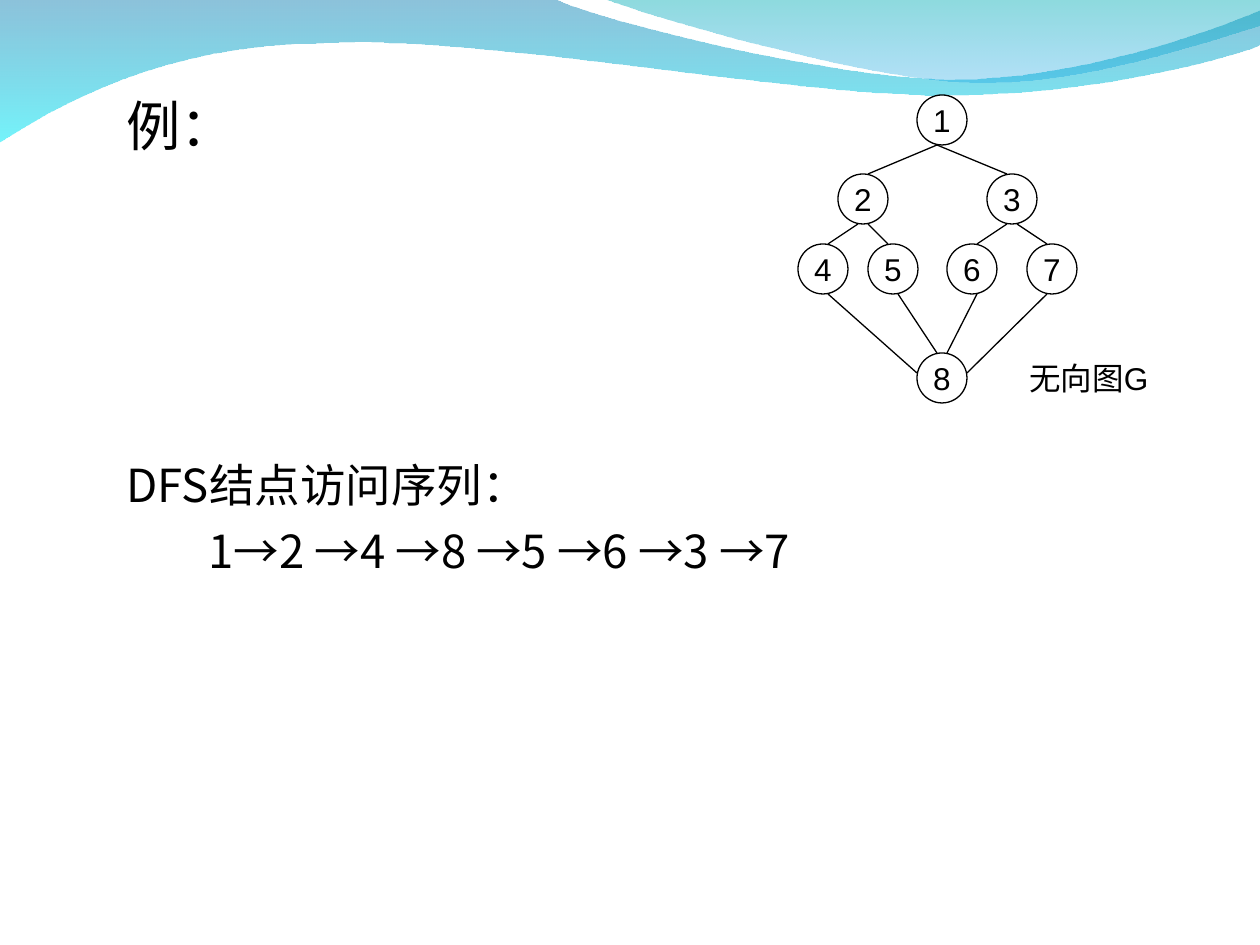
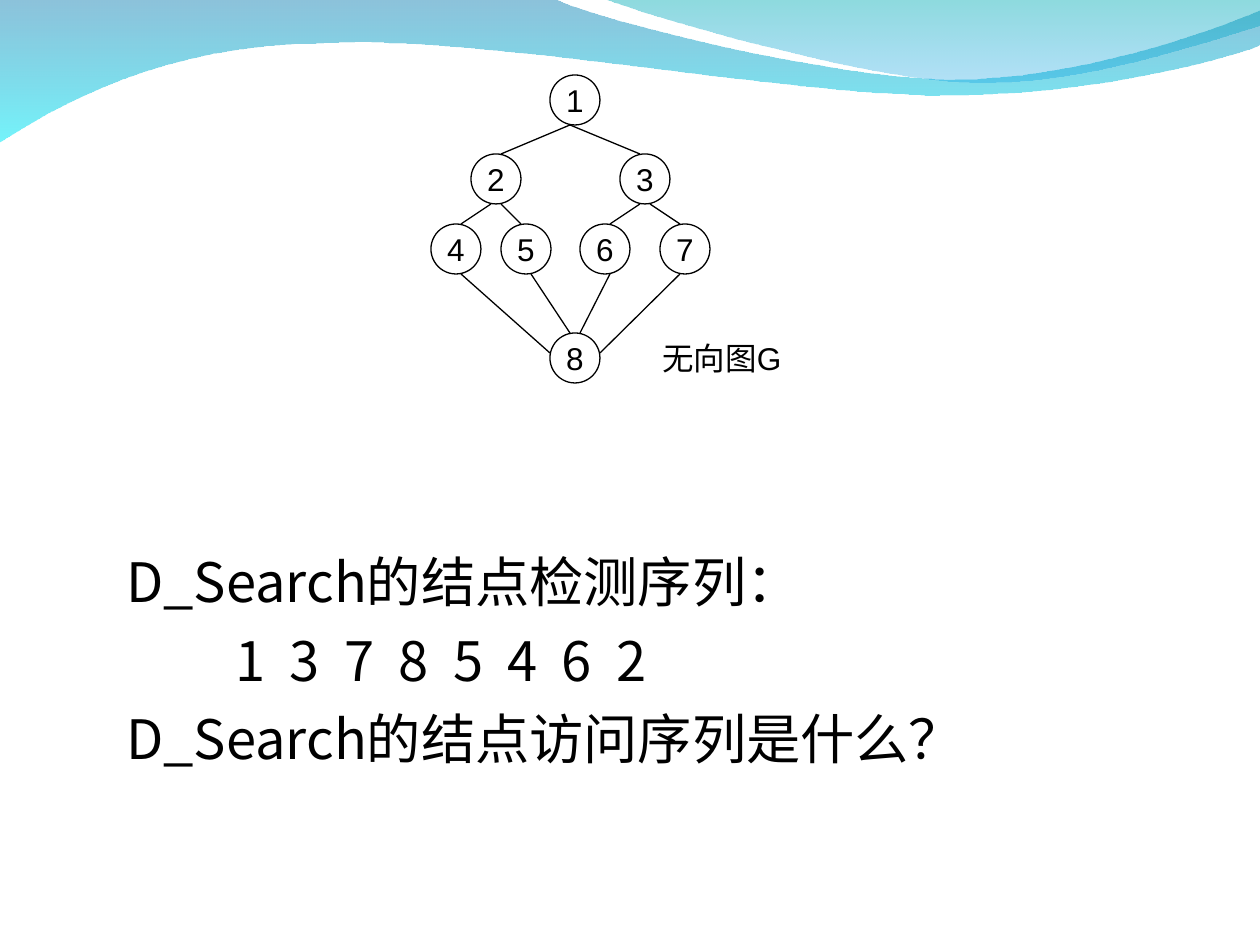
"""Build two slides that trace graph searches over the same undirected graph."""
from dataclasses import dataclass

from pptx import Presentation
from pptx.dml.color import RGBColor as Rgb
from pptx.enum.shapes import MSO_CONNECTOR as Connector, MSO_SHAPE as Shape
from pptx.enum.text import MSO_ANCHOR as Anchor, PP_ALIGN as Align
from pptx.oxml.ns import qn
from pptx.oxml.xmlchemy import OxmlElement
from pptx.util import Pt

PAGE_SIZE = (1260, 945)
PX = 914400 / 126


@dataclass(frozen=True)
class Theme:
    ink: str = "000000"
    body_font: str = "Noto Sans CJK SC"
    graph_font: str = "Arial"
    large: int = 31
    medium: int = 26
    small: int = 18
    large_gap: float = 7.7
    medium_gap: float = 6.5
    section_gap: float = 171.5
    outline: float = 0.75


THEME = Theme()

BANDS = [
    {
        "stops": [("0079AF", 45), ("00EBF8", 55)],
        "start": (0, -1),
        "segments": [
            [(554, -1)],
            [(600, 21), (837, 79), (955, 79)],
            [(1075, 79), (1207, 33), (1260, 11)],
            [(1261, 45)],
            [(1239, 55), (1096, 96), (940, 95)],
            [(784, 95), (481, 35), (324, 43)],
            [(163, 44), (58, 105), (-1, 142)],
        ],
    },
    {
        "stops": [("00ADB6", 45), ("009BE5", 30)],
        "start": (604, -1),
        "segments": [
            [(641, 14), (859, 78), (969, 82)],
            [(1079, 87), (1211, 40), (1260, 26)],
            [(1260, 0)],
        ],
    },
]

RADIUS = 25
NODES = {
    "1": (0, 0),
    "2": (-79, 79), "3": (70, 79),
    "4": (-119, 149), "5": (-49, 149), "6": (30, 149), "7": (110, 149),
    "8": (0, 258),
}
EDGES = [
    ("1", "2", (-5, 25), (5, -25)), ("1", "3", (-5, 25), (-5, -25)),
    ("2", "4", (-5, 25), (5, -25)), ("2", "5", (5, 25), (-5, -25)),
    ("3", "6", (-5, 25), (5, -25)), ("3", "7", (5, 25), (-5, -25)),
    ("4", "8", (5, 25), (-25, -5)), ("5", "8", (5, 25), (-5, -25)),
    ("6", "8", (5, 25), (5, -25)), ("7", "8", (-5, 25), (25, -5)),
]
CAPTION = ("无向图G", (75, 233), (169, 50))

BODY_LEFT, BODY_WIDTH = 114, 1101
PAGES = [
    {
        "root": (942, 120),
        "top": 86,
        "height": 760,
        "stops": [82],
        "lines": [
            ("例：", THEME.large, 0),
            ("DFS结点访问序列：", THEME.medium, THEME.section_gap),
            ("\t1→2 →4 →8 →5 →6 →3 →7", THEME.medium, THEME.medium_gap),
        ],
    },
    {
        "root": (575, 100),
        "top": 542,
        "height": 302,
        "stops": [109 + round(54.4 * place) for place in range(8)],
        "lines": [
            ("D_Search的结点检测序列：", THEME.large, 0),
            ("\t" + "\t".join("13785462"), THEME.large, THEME.large_gap),
            ("D_Search的结点访问序列是什么？", THEME.large, THEME.large_gap),
        ],
    },
]


def emu(*lengths):
    return [round(length * PX) for length in lengths]


def shifted(point, offset):
    return point[0] + offset[0], point[1] + offset[1]


def add_span(para, text, size, font):
    span = para.add_run()
    span.text = text
    span.font.size = Pt(size)
    span.font.color.rgb = Rgb.from_string(THEME.ink)
    span.font.name = font
    east_asian = OxmlElement("a:ea")
    east_asian.set("typeface", THEME.body_font)
    span.font._element.append(east_asian)


def add_tab_stops(para, stops):
    tabs = OxmlElement("a:tabLst")
    for stop in stops:
        tab = OxmlElement("a:tab")
        tab.set("pos", str(emu(stop)[0]))
        tab.set("algn", "l")
        tabs.append(tab)
    para._p.get_or_add_pPr().append(tabs)


def bend_segments(shape, segments):
    lines = iter(list(shape._element.spPr.iter(qn("a:lnTo"))))
    for segment in segments:
        first, *others = [next(lines) for _ in segment]
        if others:
            curve = OxmlElement("a:cubicBezTo")
            first.addprevious(curve)
            for line in (first, *others):
                curve.append(line[0])
                line.getparent().remove(line)


def add_band(page, band):
    builder = page.shapes.build_freeform(*emu(*band["start"]))
    points = [emu(*point) for segment in band["segments"] for point in segment]
    builder.add_line_segments(points, close=True)
    shape = builder.convert_to_shape()
    bend_segments(shape, band["segments"])
    shape.shadow.inherit = False
    shape.line.fill.background()
    shape.fill.gradient()
    shape.fill.gradient_angle = 270
    for stop, (color, _) in zip(shape.fill.gradient_stops, band["stops"]):
        stop.color.rgb = Rgb.from_string(color)
    for color, (_, opacity) in zip(shape._element.spPr.iter(qn("a:srgbClr")), band["stops"]):
        alpha = OxmlElement("a:alpha")
        alpha.set("val", str(opacity * 1000))
        color.append(alpha)


def add_body(page, content):
    box = page.shapes.add_textbox(*emu(BODY_LEFT, content["top"], BODY_WIDTH, content["height"]))
    frame = box.text_frame
    frame.word_wrap = True
    for index, (text, size, gap) in enumerate(content["lines"]):
        para = frame.add_paragraph() if index else frame.paragraphs[0]
        if "\t" in text:
            add_tab_stops(para, content["stops"])
        para.space_before = Pt(gap)
        add_span(para, text, size, THEME.body_font)


def style_outline(shape):
    shape.line.color.rgb = Rgb.from_string(THEME.ink)
    shape.line.width = Pt(THEME.outline)


def add_graph(page, root):
    shapes = page.shapes.add_group_shape().shapes
    centers = {name: shifted(root, offset) for name, offset in NODES.items()}
    for name, center in centers.items():
        corner = shifted(center, (-RADIUS, -RADIUS))
        node = shapes.add_shape(Shape.OVAL, *emu(*corner, 2 * RADIUS, 2 * RADIUS))
        node.shadow.inherit = False
        node.fill.background()
        style_outline(node)
        frame = node.text_frame
        frame.word_wrap = False
        frame.vertical_anchor = Anchor.MIDDLE
        frame.paragraphs[0].alignment = Align.CENTER
        add_span(frame.paragraphs[0], name, THEME.small, THEME.graph_font)
    for start, end, leave, arrive in EDGES:
        ends = shifted(centers[start], leave) + shifted(centers[end], arrive)
        edge = shapes.add_connector(Connector.STRAIGHT, *emu(*ends))
        style_outline(edge)
        edge._element.spPr.append(OxmlElement("a:effectLst"))
    text, offset, size = CAPTION
    box = shapes.add_textbox(*emu(*shifted(root, offset), *size))
    box.text_frame.word_wrap = True
    add_span(box.text_frame.paragraphs[0], text, THEME.small, THEME.graph_font)


def main():
    deck = Presentation()
    deck.slide_width, deck.slide_height = emu(*PAGE_SIZE)
    for content in PAGES:
        page = deck.slides.add_slide(deck.slide_layouts[6])
        for band in BANDS:
            add_band(page, band)
        add_body(page, content)
        add_graph(page, content["root"])
    deck.save("out.pptx")


if __name__ == "__main__":
    main()
